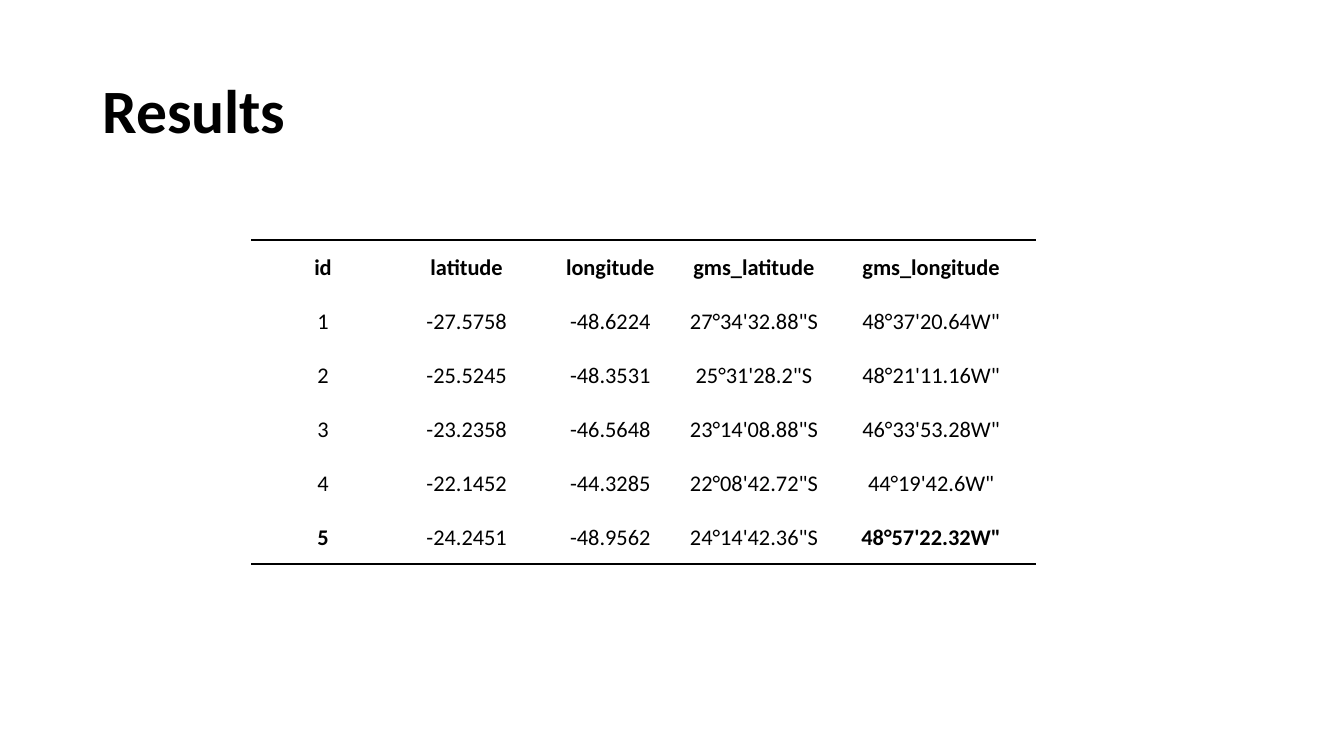
from dataclasses import dataclass

from lxml import etree
from pptx import Presentation
from pptx import util as u
from pptx.dml.color import RGBColor
from pptx.enum import text
from pptx.oxml import ns


@dataclass(frozen=True)
class Theme:
    font: str = "Calibri"
    ink: str = "000000"
    paper: str = "FFFFFF"
    title_size: int = 44
    table_size: int = 16
    rule_width: int = 2
    table_style: str = "{2D5ABB26-0587-4C30-8999-92F81FD0307C}"


THEME = Theme()

HEADER = ["id", "latitude", "longitude", "gms_latitude", "gms_longitude"]
COORDINATES = [
    ["1", "-27.5758", "-48.6224", "27°34'32.88\"S", "48°37'20.64W\""],
    ["2", "-25.5245", "-48.3531", "25°31'28.2\"S", "48°21'11.16W\""],
    ["3", "-23.2358", "-46.5648", "23°14'08.88\"S", "46°33'53.28W\""],
    ["4", "-22.1452", "-44.3285", "22°08'42.72\"S", "44°19'42.6W\""],
    ["5", "-24.2451", "-48.9562", "24°14'42.36\"S", "48°57'22.32W\""],
]


def style_paragraph(p, size, bold):
    p.font.name = THEME.font
    p.font.size = u.Pt(size)
    p.font.bold = bold
    p.font.color.rgb = RGBColor.from_string(THEME.ink)


def add_rule(cell, side):
    line = etree.Element(ns.qn(f"a:{side}"), w=str(u.Pt(THEME.rule_width)))
    fill = etree.SubElement(line, ns.qn("a:solidFill"))
    etree.SubElement(fill, ns.qn("a:srgbClr"), val=THEME.ink)
    cell._tc.get_or_add_tcPr().insert(0, line)


def add_title(slide, box, title):
    tf = slide.shapes.add_textbox(*box).text_frame
    tf.word_wrap = True
    tf.vertical_anchor = text.MSO_ANCHOR.MIDDLE
    p = tf.paragraphs[0]
    p.text = title
    p.line_spacing = 0.9
    style_paragraph(p, THEME.title_size, True)


def fill_cell(cell, value, bold):
    cell.fill.solid()
    cell.fill.fore_color.rgb = RGBColor.from_string(THEME.paper)
    cell.vertical_anchor = text.MSO_ANCHOR.MIDDLE
    cell.margin_left = cell.margin_right = cell.margin_top = u.Cm(0.03)
    cell.margin_bottom = 0
    p = cell.text_frame.paragraphs[0]
    p.text = value
    p.alignment = text.PP_ALIGN.CENTER
    style_paragraph(p, THEME.table_size, bold)


def add_results_table(slide, box, rows, column_width):
    width = box[2]
    last_row, last_column = len(rows) - 1, len(rows[0]) - 1
    table = slide.shapes.add_table(len(rows), len(rows[0]), *box).table
    table.first_row = table.horz_banding = False
    table._tbl.tblPr.find(ns.qn("a:tableStyleId")).text = THEME.table_style
    for column in table.columns:
        column.width = column_width
    table.columns[last_column].width = width - last_column * column_width
    for i, row in enumerate(rows):
        for j, value in enumerate(row):
            cell = table.cell(i, j)
            bold = i == 0 or (i == last_row and j in (0, last_column))
            fill_cell(cell, value, bold)
            if i == 0:
                add_rule(cell, "lnT")
            if i == last_row:
                add_rule(cell, "lnB")


def build_results_slide(prs):
    slide = prs.slides.add_slide(prs.slide_layouts[6])
    title_box = [u.Cm(v) for v in (2.33, 1.01, 29.21, 3.68)]
    table_box = [u.Cm(v) for v in (6.33, 6.05, 19.79, 8.16)]
    add_title(slide, title_box, "Results")
    add_results_table(slide, table_box, [HEADER, *COORDINATES], u.Cm(3.62))


prs = Presentation()
prs.slide_width, prs.slide_height = u.Cm(33.87), u.Cm(19.05)
build_results_slide(prs)
prs.save("out.pptx")
